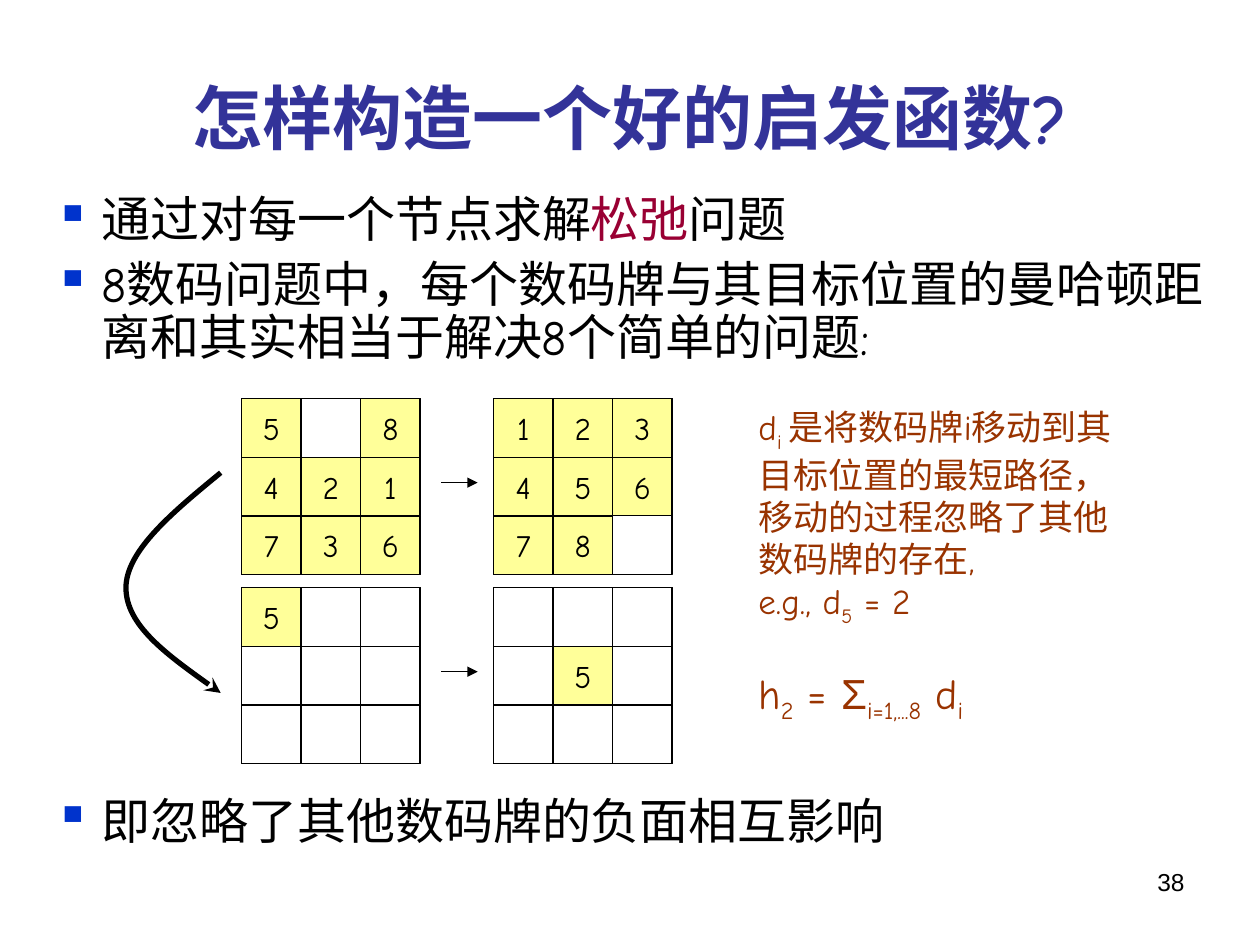
from dataclasses import dataclass

from lxml import etree
from pptx import Presentation
from pptx.dml.color import RGBColor
from pptx.enum.shapes import MSO_CONNECTOR, MSO_SHAPE
from pptx.enum.text import MSO_ANCHOR, PP_ALIGN
from pptx.oxml.ns import qn
from pptx.util import Cm, Pt

RECT = MSO_SHAPE.RECTANGLE
STRAIGHT = MSO_CONNECTOR.STRAIGHT
TOP, MIDDLE = MSO_ANCHOR.TOP, MSO_ANCHOR.MIDDLE
LEFT, CENTER, RIGHT = PP_ALIGN.LEFT, PP_ALIGN.CENTER, PP_ALIGN.RIGHT


@dataclass(frozen=True)
class Theme:
    face: str = "Comic Neue"
    plain: str = "Arial"
    ink: str = "000000"
    title: str = "333399"
    accent: str = "990033"
    note: str = "993300"
    bullet: str = "0033CC"
    tile: str = "FFFF99"
    blank: str = "FFFFFF"
    title_size: int = 40
    body_size: int = 28
    sum_size: int = 24
    note_size: int = 20
    tile_size: int = 18
    page_size: int = 14


THEME = Theme()
SIDE, RISE = 1.2, 1.18  # width and height of a tile, in cm
# A digit is a tile, a space an empty cell, a dash the open hole.
BOARDS = [
    [("5-8", "421", "736"), ("123", "456", "78-")],
    [("5  ", "   ", "   "), ("   ", " 5 ", "   ")],
]


def rgb(code):
    return RGBColor.from_string(code)


def style(font, size, color, face=THEME.face):
    font.size = Pt(size)
    font.name = face
    font.color.rgb = rgb(color)


def add_box(slide, x, y, w, h, wrap=True, anchor=TOP):
    frame = slide.shapes.add_textbox(Cm(x), Cm(y), Cm(w), Cm(h)).text_frame
    frame.word_wrap = wrap
    frame.vertical_anchor = anchor
    return frame


def next_para(frame):
    """Return the empty first paragraph, or a new one."""
    first = frame.paragraphs[0]
    return frame.add_paragraph() if first.runs else first


def add_line(frame, text, size, color, align=LEFT, face=THEME.face):
    para = next_para(frame)
    para.add_run().text = text
    para.alignment = align
    style(para.font, size, color, face)
    return para


def add_math(frame, parts, size):
    """Add a line whose parts starting with "_" are subscripts."""
    para = next_para(frame)
    style(para.font, size, THEME.note)
    for part in parts:
        run = para.add_run()
        run.text = part.removeprefix("_")
        if part.startswith("_"):
            run._r.get_or_add_rPr().set("baseline", "-25000")
        if part == "Σ":
            run.font.name = THEME.plain
    return para


def add_bullet(frame, parts, gap):
    """Add a bulleted line; every second part takes the accent colour."""
    para = next_para(frame)
    props = para._p.get_or_add_pPr()
    props.set("marL", str(Cm(0.95)))
    props.set("indent", str(-Cm(0.95)))
    para.line_spacing = 0.9
    para.space_before = Pt(gap)
    tint = etree.SubElement(props, qn("a:buClr"))
    etree.SubElement(tint, qn("a:srgbClr"), val=THEME.bullet)
    etree.SubElement(props, qn("a:buChar"), char="▪")
    style(para.font, THEME.body_size, THEME.ink)
    for i, part in enumerate(parts):
        run = para.add_run()
        run.text = part
        if i % 2:
            run.font.color.rgb = rgb(THEME.accent)


def set_line(shape, width, tip=None):
    shape.line.color.rgb = rgb(THEME.ink)
    shape.line.width = Pt(width)
    if tip:
        etree.SubElement(shape.line._get_or_add_ln(), qn("a:tailEnd"), type=tip)


def add_rect(slide, x, y, w, h, fill=None):
    rect = slide.shapes.add_shape(RECT, Cm(x), Cm(y), Cm(w), Cm(h))
    rect.shadow.inherit = False
    if fill:
        rect.fill.solid()
        rect.fill.fore_color.rgb = rgb(fill)
    else:
        rect.fill.background()
    set_line(rect, 0.75)
    return rect


def add_board(slide, x, y, rows):
    add_rect(slide, x, y, 3 * SIDE, 3 * RISE)
    for r, row in enumerate(rows):
        for c, mark in enumerate(row):
            if mark == "-":
                continue
            fill = THEME.blank if mark == " " else THEME.tile
            cell = add_rect(slide, x + c * SIDE, y + r * RISE, SIDE, RISE, fill)
            if mark != " ":
                frame = cell.text_frame
                frame.word_wrap = False
                frame.vertical_anchor = MIDDLE
                add_line(frame, mark, THEME.tile_size, THEME.ink, CENTER)


def add_arrow(slide, x, y, length):
    arrow = slide.shapes.add_connector(STRAIGHT, Cm(x), Cm(y), Cm(x + length), Cm(y))
    set_line(arrow, 0.75, "triangle")
    etree.SubElement(arrow._element.spPr, qn("a:effectLst"))


def add_curve(slide, points):
    """Draw a Bezier arrow: a start, then three points for each arc."""
    start, *rest = [(Cm(x), Cm(y)) for x, y in points]
    pen = slide.shapes.build_freeform(*start)
    pen.add_line_segments(rest, close=False)
    curve = pen.convert_to_shape()
    steps = list(curve._element.iter(qn("a:lnTo")))
    for i in range(0, len(steps), 3):
        arc = etree.Element(qn("a:cubicBezTo"))
        steps[i].addprevious(arc)
        for step in steps[i:i + 3]:
            arc.append(step[0])
            step.getparent().remove(step)
    curve.shadow.inherit = False
    curve.fill.background()
    set_line(curve, 3, "stealth")


def add_note(slide):
    frame = add_box(slide, 15.04, 8.05, 8.23, 6.73, wrap=False)
    size = THEME.note_size
    add_math(frame, ["d", "_i ", "是将数码牌i移动到其"], size)
    for text in ("目标位置的最短路径，", "移动的过程忽略了其他", "数码牌的存在,"):
        add_line(frame, text, size, THEME.note)
    add_math(frame, ["e.g., d", "_5", " = 2"], size)
    total = ["h", "_2", " = ", "Σ", "_i=1,...8", " d", "_i"]
    add_math(frame, total, THEME.sum_size).space_before = Pt(23)


def main():
    deck = Presentation()
    deck.slide_width, deck.slide_height = Cm(25.4), Cm(19.05)
    slide = deck.slides.add_slide(deck.slide_layouts[6])

    page = add_box(slide, 18.21, 17.35, 5.92, 1.32)
    add_line(page, "38", THEME.page_size, THEME.ink, RIGHT, THEME.plain)

    body = add_box(slide, 0.85, 3.81, 23.92, 14.6)
    add_bullet(body, ["通过对每一个节点求解", "松弛", "问题"], 0)
    add_bullet(body, ["8数码问题中，每个数码牌与其目标位置的曼哈顿距离和其实相当于解决8个简单的问题:"], 7)
    add_bullet(body, ["即忽略了其他数码牌的负面相互影响"], 246)

    head = add_box(slide, 1.27, 0.76, 22.86, 3.18, anchor=MIDDLE)
    title = add_line(head, "怎样构造一个好的启发函数?", THEME.title_size, THEME.title, CENTER)
    title.font.bold = True

    for i, pair in enumerate(BOARDS):
        y = 8.04 + 3.81 * i
        for j, rows in enumerate(pair):
            add_board(slide, 4.87 + 5.08 * j, y, rows)
        add_arrow(slide, 8.89, y + 1.69, 0.74)
    add_curve(slide, [(4.45, 9.53), (3.5, 10.31), (2.54, 11.1), (2.54, 11.85),
                      (2.54, 12.6), (3.5, 13.3), (4.45, 13.97)])
    add_note(slide)
    deck.save("out.pptx")


if __name__ == "__main__":
    main()
